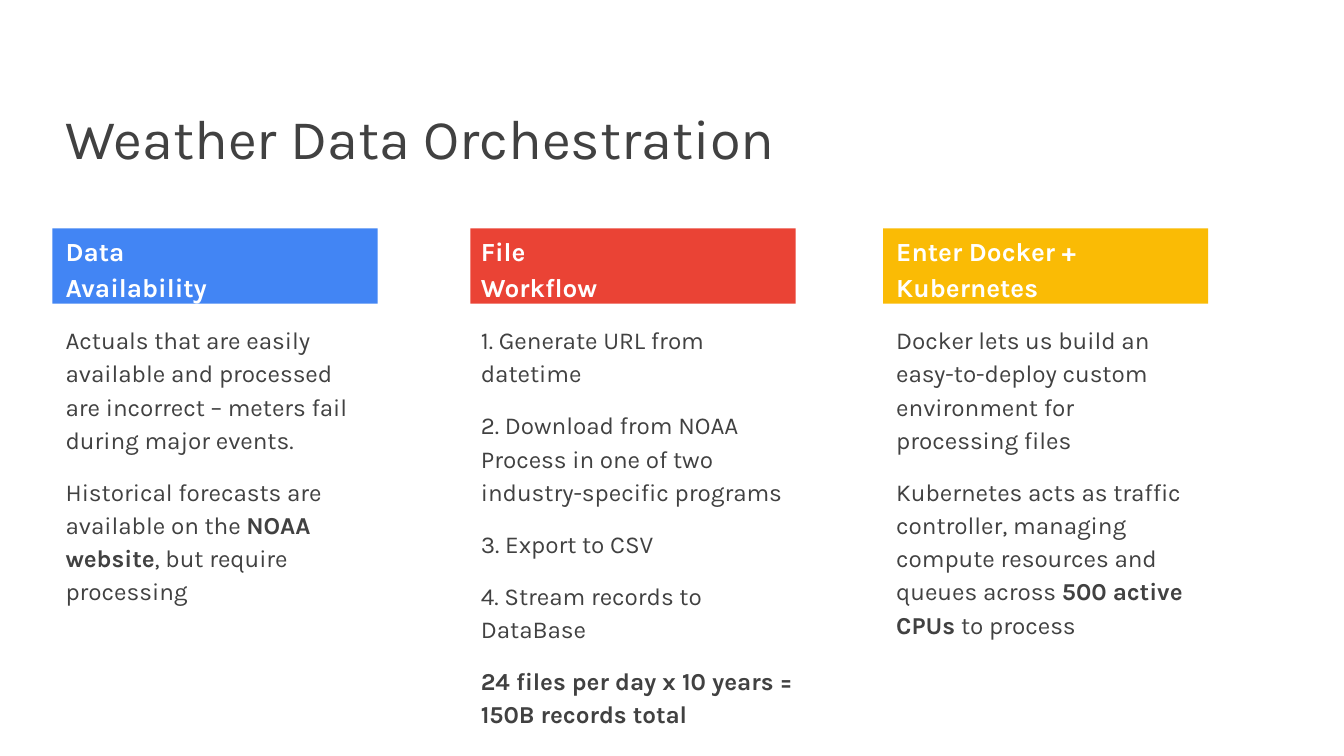
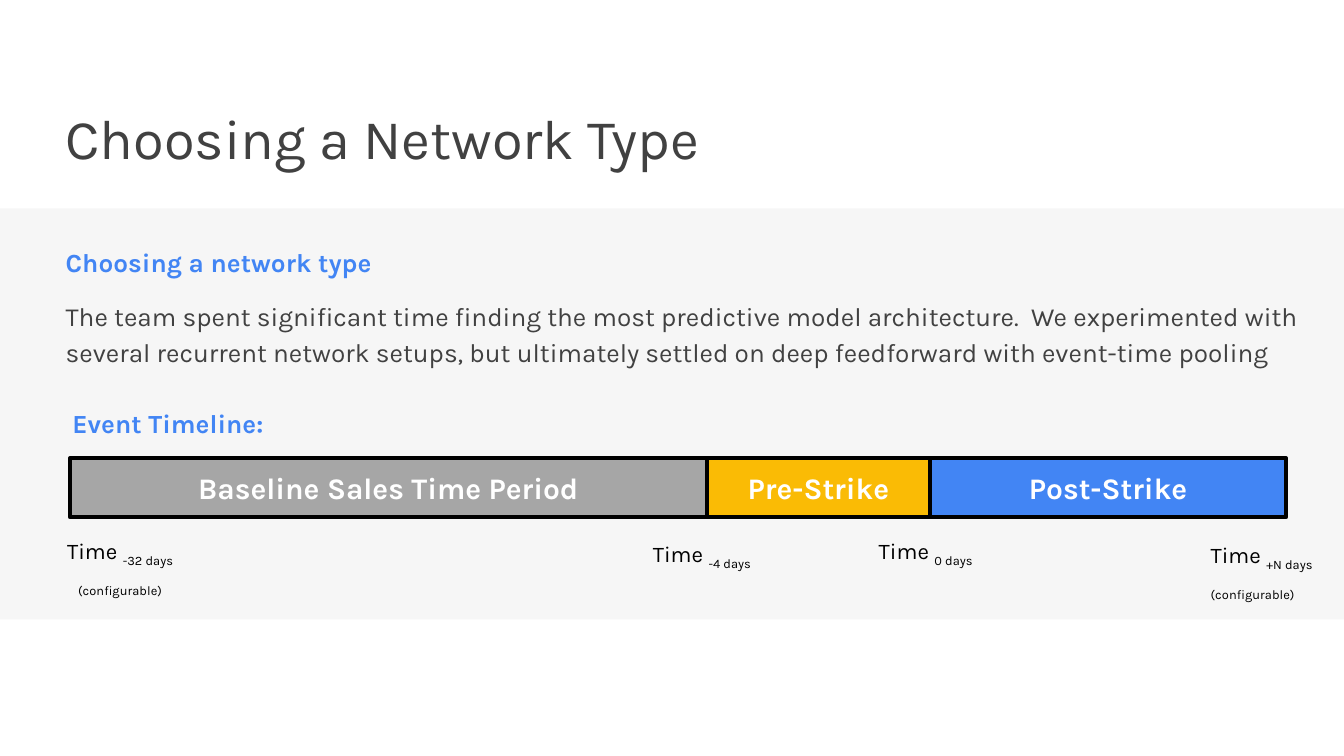
from pptx import Presentation
from pptx.dml.color import RGBColor
from pptx.enum.shapes import MSO_SHAPE
from pptx.enum.text import MSO_ANCHOR, PP_ALIGN
from pptx.util import Inches, Pt

RECT = MSO_SHAPE.RECTANGLE
TOP, MIDDLE = MSO_ANCHOR.TOP, MSO_ANCHOR.MIDDLE
LEFT, CENTER = PP_ALIGN.LEFT, PP_ALIGN.CENTER

COLORS = {
    "blue": "4285F4", "red": "EA4335", "yellow": "FABB05", "gray": "A6A6A6",
    "panel": "F6F6F6", "text": "414141", "white": "FFFFFF", "black": "000000",
}
FONT = "Karla"
CELL = 0.1  # inches per grid column and row
COLS, ROWS = 100, 56.25
MARGIN = 3.9
LEADING = 1.14
PARA_GAP = 10


def rgb(name):
    return RGBColor.from_string(COLORS[name])


class Deck:
    """Holds the shared style and the slide being built."""

    def __init__(self):
        self.prs = Presentation()
        self.prs.slide_width = Inches(COLS * CELL)
        self.prs.slide_height = Inches(ROWS * CELL)
        self.slide = None

    def place(self, *cells):
        return [Inches(cell * CELL) for cell in cells]

    def start(self, title):
        self.slide = self.prs.slides.add_slide(self.prs.slide_layouts[6])
        heading = self.text(MARGIN, 6.7, 86.3, 6.1)
        self.paragraph(heading, [title], 30, "text")

    def bar(self, x, y, w, h, fill, outlined=False):
        bar = self.slide.shapes.add_shape(RECT, *self.place(x, y, w, h))
        bar.shadow.inherit = False
        bar.fill.solid()
        bar.fill.fore_color.rgb = rgb(fill)
        if outlined:
            bar.line.color.rgb = rgb("black")
            bar.line.width = Pt(2)
        else:
            bar.line.fill.background()
        bar.text_frame.vertical_anchor = MIDDLE
        return bar.text_frame

    def text(self, x, y, w, h, inset_y=1):
        box = self.slide.shapes.add_textbox(*self.place(x, y, w, h))
        frame = box.text_frame
        frame.word_wrap = True
        frame.vertical_anchor = TOP
        frame.margin_left, frame.margin_right = self.place(1, 1)
        frame.margin_top, frame.margin_bottom = self.place(inset_y, inset_y)
        return frame

    def paragraph(self, frame, parts, size, color, bold=False, align=LEFT,
                  leading=None, first=True):
        """Adds a paragraph; a part is a string or (string, "bold" or "sub")."""
        para = frame.paragraphs[0] if first else frame.add_paragraph()
        para.alignment = align
        if leading:
            para.line_spacing = leading
            if not first:
                para.space_before = Pt(PARA_GAP)
        para.font.name, para.font.size = FONT, Pt(size)
        para.font.color.rgb = rgb(color)
        uniform = all(isinstance(part, str) for part in parts)
        if uniform:
            para.font.bold = bold
        for part in parts:
            words, style = (part, None) if isinstance(part, str) else part
            for i, line in enumerate(words.split("\n")):
                if i:
                    para.add_line_break()
                run = para.add_run()
                run.text = line
                if not uniform:
                    run.font.bold = style == "bold"
                if style == "sub":
                    run.font._element.set("baseline", "-25000")

    def subhead(self, frame, words, color):
        self.paragraph(frame, [words], 14, color, bold=True, leading=LEADING)

    def body(self, frame, parts, size):
        self.paragraph(frame, parts, size, "text", leading=LEADING, first=False)


def orchestration(deck):
    deck.start("Weather Data Orchestration")
    # band left, text left, text width, colour, heading, paragraphs
    topics = [
        (MARGIN, MARGIN, 24.6, "blue", "Data\nAvailability", [
            ["Actuals that are easily available and processed are incorrect – "
             "meters fail during major events."],
            ["Historical forecasts are available on the ",
             ("NOAA website", "bold"), ", but require processing"],
        ]),
        (35, 34.8, 26.4, "red", "File\nWorkflow", [
            ["1. Generate URL from datetime"],
            ["2. Download from NOAA\n"
             "Process in one of two industry-specific programs"],
            ["3. Export to CSV"],
            ["4. Stream records to DataBase"],
            [("24 files per day x 10 years = 150B records total", "bold")],
        ]),
        (65.7, 65.7, 24.2, "yellow", "Enter Docker +\nKubernetes", [
            ["Docker lets us build an easy-to-deploy custom environment for "
             "processing files"],
            ["Kubernetes acts as traffic controller, managing compute "
             "resources and queues across ",
             ("500 active CPUs ", "bold"), "to process"],
        ]),
    ]
    for band_x, text_x, text_w, color, heading, paragraphs in topics:
        deck.bar(band_x, 17, 24.2, 5.6, color)
        column = deck.text(text_x, 16.2, text_w, 30)
        deck.subhead(column, heading, "white")
        for parts in paragraphs:
            deck.body(column, parts, 13)


def network_type(deck):
    deck.start("Choosing a Network Type")
    deck.bar(0, 15.5, COLS, 30.6, "panel")

    # Explanation
    summary = deck.text(MARGIN, 17, 93.8, 12.9)
    deck.subhead(summary, "Choosing a network type", "blue")
    deck.body(summary, [
        "The team spent significant time finding the most predictive model "
        "architecture.  We experimented with several recurrent network setups, "
        "but ultimately settled on deep feedforward with event-time pooling"], 14)

    # Timeline periods, laid end to end
    deck.subhead(deck.text(4.4, 29, 16.7, 4.2), "Event Timeline:", "blue")
    period_x = 5.2
    for name, width, color in [("Baseline Sales Time Period", 47.4, "gray"),
                               ("Pre-Strike", 16.6, "yellow"),
                               ("Post-Strike", 26.5, "blue")]:
        period = deck.bar(period_x, 34.1, width, 4.4, color, outlined=True)
        deck.paragraph(period, [name], 16, "white", bold=True, align=CENTER)
        period_x += width

    # Time marks under the period edges
    for x, y, offset, align in [(2.3, 39.5, "-32 days\n(configurable)", CENTER),
                                (47.6, 39.7, "-4 days", LEFT),
                                (64.4, 39.5, "0 days", LEFT),
                                (89.1, 39.8, "+N days\n(configurable)", LEFT)]:
        mark = deck.text(x, y, 13.3, 4.4 if "\n" in offset else 3, inset_y=0.5)
        deck.paragraph(mark, ["Time ", (offset, "sub")], 12, "black", align=align)


def main():
    deck = Deck()
    orchestration(deck)
    network_type(deck)
    deck.prs.save("out.pptx")


if __name__ == "__main__":
    main()
